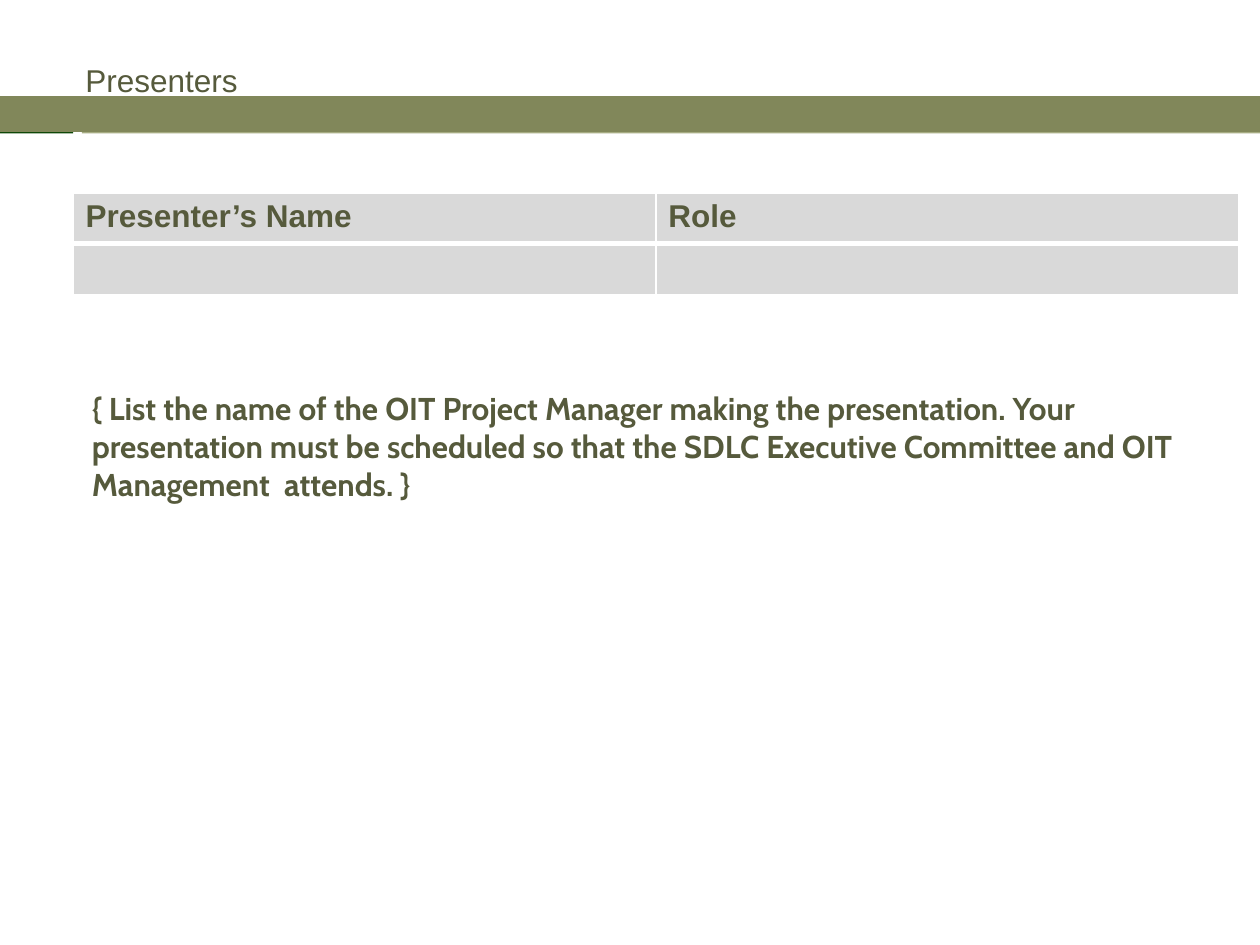
from lxml import etree
from pptx import Presentation
from pptx.dml.color import RGBColor
from pptx.enum.shapes import MSO_SHAPE
from pptx.enum.text import MSO_ANCHOR
from pptx.oxml.ns import qn
from pptx.util import Inches, Pt

RECTANGLE = MSO_SHAPE.RECTANGLE
MIDDLE = MSO_ANCHOR.MIDDLE
TOP = MSO_ANCHOR.TOP

TEXT_COLOR = "565A3C"
CELL_COLOR = "D9D9D9"
BORDER_COLOR = "FFFFFF"

TITLE = "Presenters"
TABLE_ROWS = [("Presenter’s Name", "Role"), ("", "")]
INSTRUCTION = (
    "{ List the name of the OIT Project Manager making the presentation. "
    "Your presentation must be scheduled so that the SDLC Executive Committee "
    "and OIT Management  attends. }"
)

# left, top, width, height, fill, line width in points
ACCENT_BARS = [
    (0, 0.81, 0.58, 0.25, "0F4808", 0),
    (0.65, 0.81, 9.35, 0.25, "A5AB81", 0),
]
TITLE_BAR = (0, 0.77, 10, 0.27, "81875A", 1.5)

TITLE_BOX = (0.58, 0.4, 8.54, 0.47)
TABLE_BOX = (0.58, 1.53, 9.25, 0.81)
INSTRUCTION_BOX = (0.63, 3.04, 9.21, 1)


def color(value):
    return RGBColor.from_string(value)


def write_text(frame, text, font="Arial", size=18, bold=False, anchor=TOP):
    frame.word_wrap = True
    frame.vertical_anchor = anchor
    paragraph = frame.paragraphs[0]
    paragraph.font.size = Pt(size)
    if text:
        run = paragraph.add_run()
        run.text = text
        run.font.name = font
        run.font.size = Pt(size)
        run.font.bold = bold
        run.font.color.rgb = color(TEXT_COLOR)


def add_text_box(slide, box, text, **text_format):
    text_box = slide.shapes.add_textbox(*map(Inches, box))
    write_text(text_box.text_frame, text, **text_format)


def add_bar(slide, left, top, width, height, fill, line_width):
    bar = slide.shapes.add_shape(RECTANGLE, *map(Inches, (left, top, width, height)))
    bar.shadow.inherit = False
    bar.fill.solid()
    bar.fill.fore_color.rgb = color(fill)
    if line_width:
        bar.line.color.rgb = color(fill)
        bar.line.width = Pt(line_width)
    else:
        bar.line.fill.background()


def set_borders(cell, widths):
    """Draw cell borders; widths maps L, R, T and B to points, in that order."""
    properties = cell._tc.get_or_add_tcPr()
    for index, (side, width) in enumerate(widths.items()):
        line = etree.Element(qn(f"a:ln{side}"), w=str(Pt(width)))
        fill = etree.SubElement(line, qn("a:solidFill"))
        etree.SubElement(fill, qn("a:srgbClr"), val=BORDER_COLOR)
        properties.insert(index, line)


def add_presenter_table(slide):
    frame = slide.shapes.add_table(
        len(TABLE_ROWS), len(TABLE_ROWS[0]), *map(Inches, TABLE_BOX)
    )
    for row_index, row in enumerate(TABLE_ROWS):
        is_header = row_index == 0
        for column_index, text in enumerate(row):
            cell = frame.table.cell(row_index, column_index)
            write_text(cell.text_frame, text, bold=is_header)
            cell.fill.solid()
            cell.fill.fore_color.rgb = color(CELL_COLOR)
            set_borders(cell, {
                "L": 1,
                "R": 1,
                "T": 1 if is_header else 3,
                "B": 3 if is_header else 1,
            })


def main():
    presentation = Presentation()
    presentation.slide_width = Inches(10)
    presentation.slide_height = Inches(7.5)
    slide = presentation.slides.add_slide(presentation.slide_layouts[6])

    for bar in ACCENT_BARS:
        add_bar(slide, *bar)
    add_text_box(slide, TITLE_BOX, TITLE, anchor=MIDDLE)
    add_presenter_table(slide)
    add_text_box(slide, INSTRUCTION_BOX, INSTRUCTION, font="Cabin", bold=True)
    add_bar(slide, *TITLE_BAR)

    presentation.save("out.pptx")


if __name__ == "__main__":
    main()
